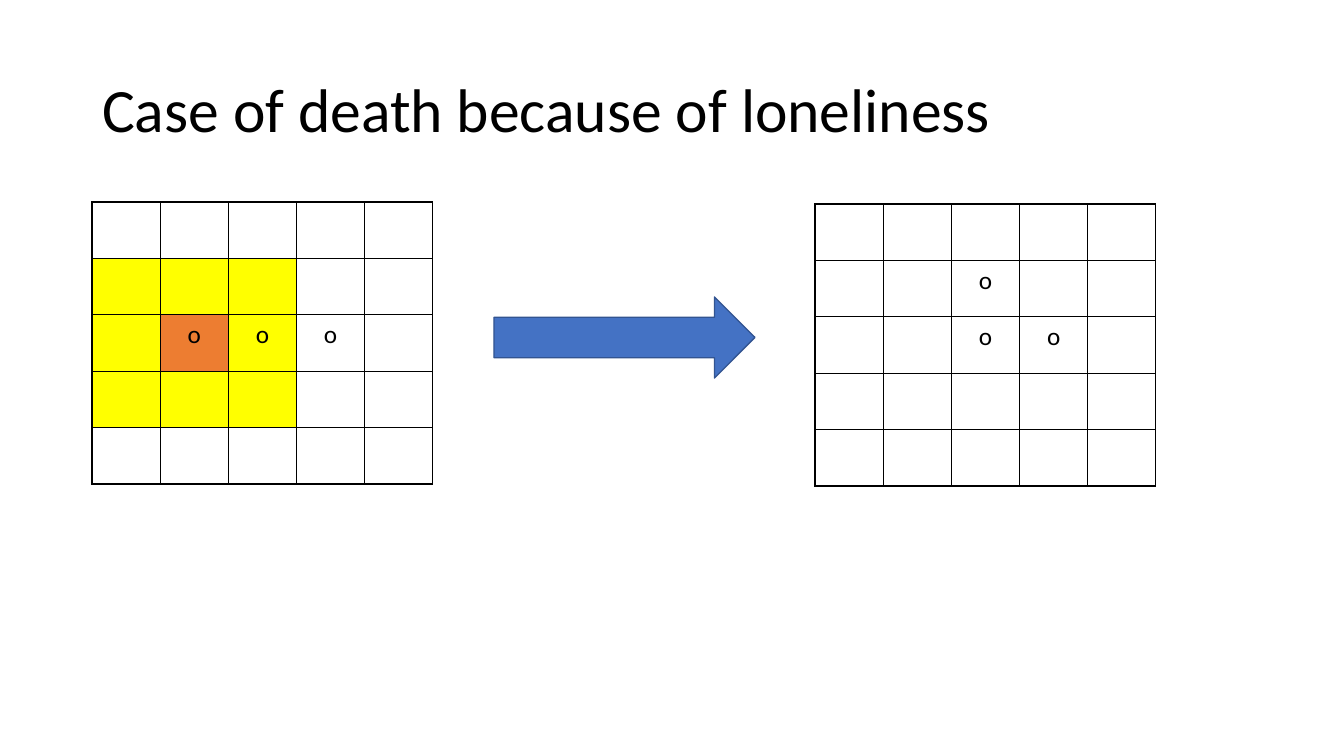
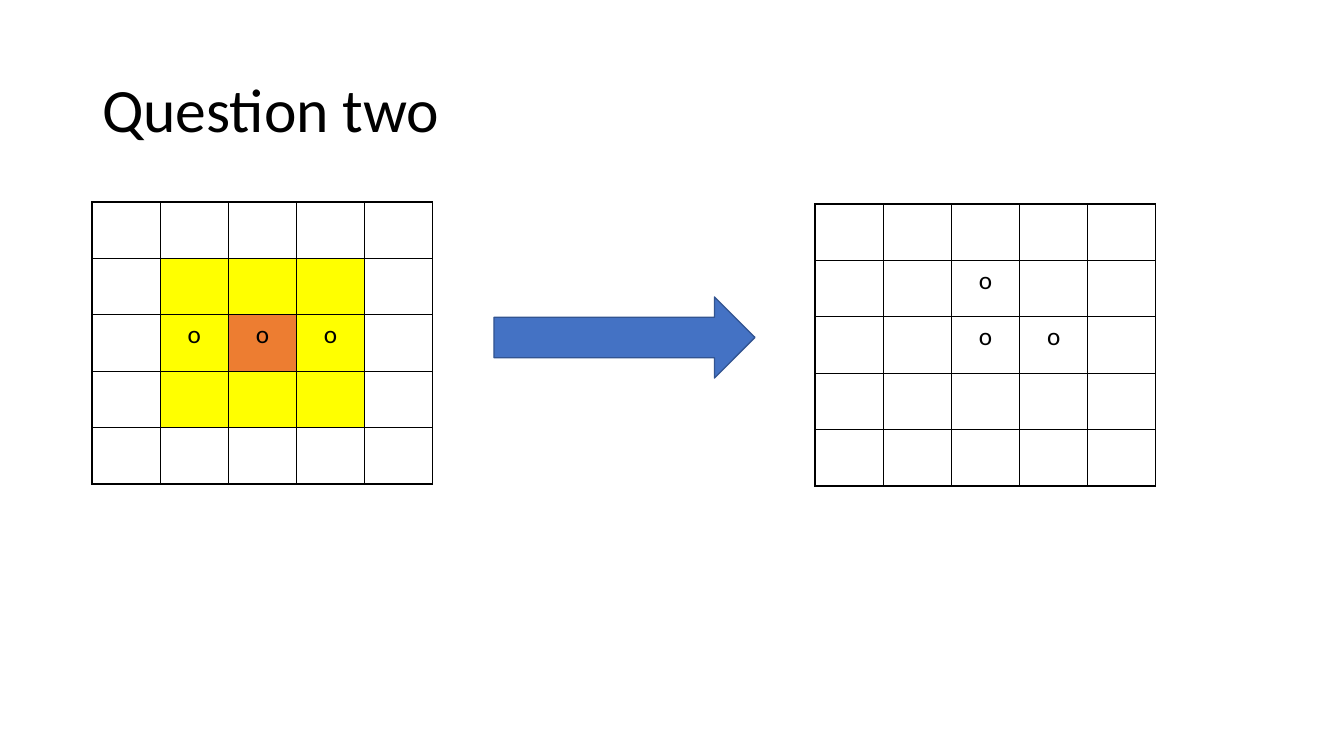
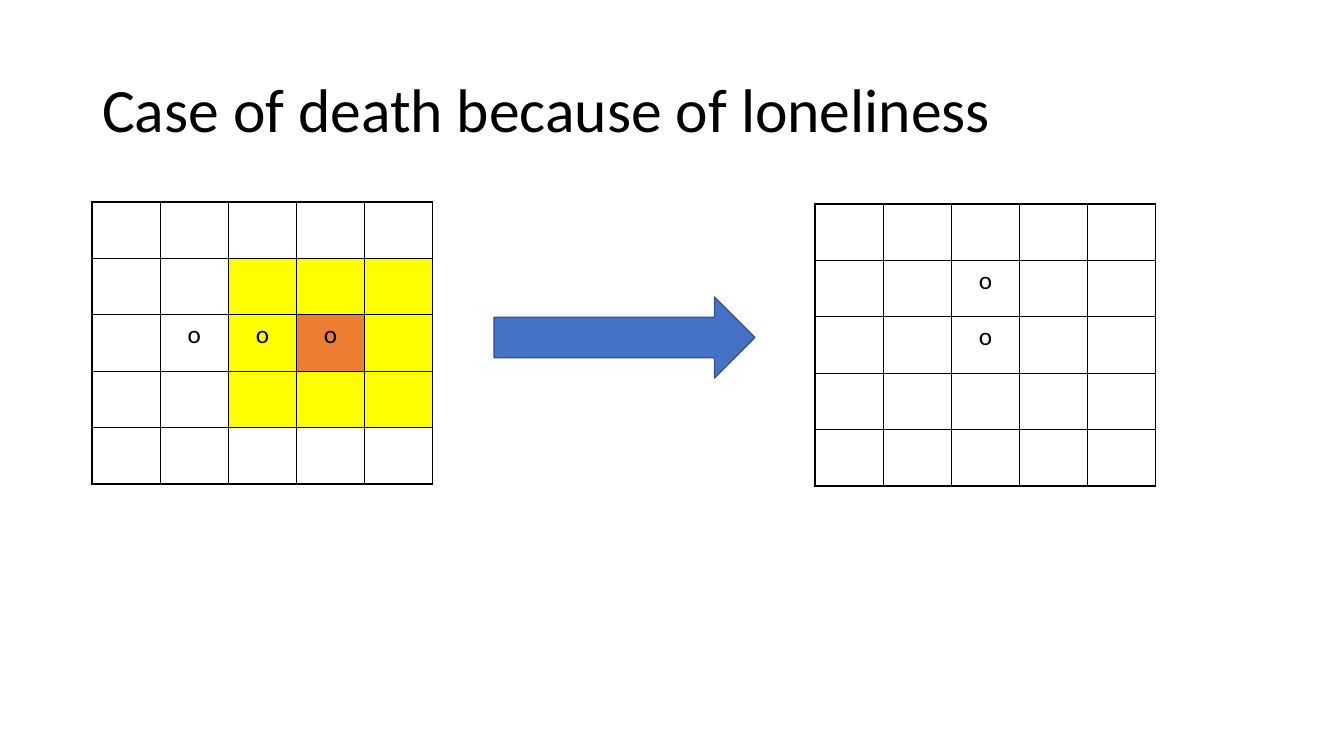
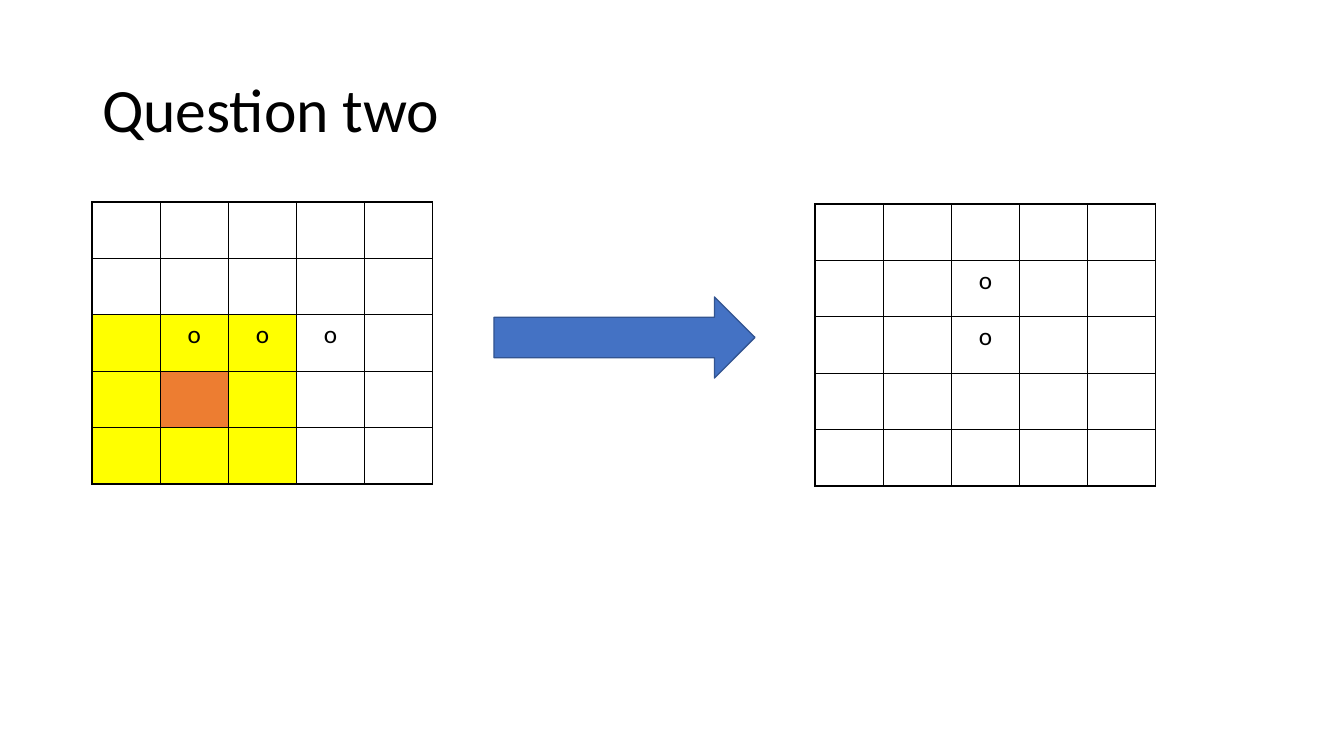
from lxml import etree
from pptx import Presentation
from pptx.dml.color import RGBColor
from pptx.enum.shapes import MSO_SHAPE
from pptx.enum.text import MSO_ANCHOR, MSO_AUTO_SIZE, PP_ALIGN
from pptx.oxml.ns import qn
from pptx.util import Emu, Pt

ARROW = MSO_SHAPE.RIGHT_ARROW
MIDDLE = MSO_ANCHOR.MIDDLE
NO_FIT = MSO_AUTO_SIZE.NONE
LEFT, CENTER = PP_ALIGN.LEFT, PP_ALIGN.CENTER

SCALE = 914400 / 100.8
FONT = "Calibri"
BLACK, WHITE = "000000", "FFFFFF"
YELLOW, ORANGE = "FFFF00", "ED7D31"
BLUE, NAVY = "4472C4", "325491"

SIZE = 5
TITLE_BOX = (92, 40, 1159, 146)
BEFORE_BOX = (92, 202, 341, 282)
AFTER_BOX = (815, 204, 341, 282)
ARROW_BOX = (494, 297, 261, 81)

# Cells are (row, column), counted from zero.
ROW = {(2, 1), (2, 2), (2, 3)}
PAIR = {(1, 2), (2, 2)}
TRIO = PAIR | {(2, 3)}

# Title, cell under study, live cells after the step
STEPS = [
    ("Case of death because of loneliness", (2, 1), TRIO),
    ("Question two", (2, 2), TRIO),
    ("Case of death because of loneliness", (2, 3), PAIR),
    ("Question two", (3, 1), PAIR),
]


def px(n):
    """Turn pixels into EMU."""
    return Emu(round(n * SCALE))


def rgb(code):
    """Turn a hex string into a colour."""
    return RGBColor.from_string(code)


def add_run(para, text, size, align):
    """Add one run of black text to a paragraph."""
    para.alignment = align
    run = para.add_run()
    run.text = text
    run.font.name = FONT
    run.font.size = Pt(size)
    run.font.color.rgb = rgb(BLACK)


def set_title(slide, box, text):
    """Place and fill the title placeholder."""
    title = slide.shapes.title
    title.left, title.top, title.width, title.height = map(px, box)
    frame = title.text_frame
    frame.word_wrap = True
    frame.auto_size = NO_FIT
    frame.vertical_anchor = MIDDLE
    para = frame.paragraphs[0]
    para.line_spacing = 0.9
    add_run(para, text, 44, LEFT)


def add_edges(cell):
    """Draw thin black lines on the four sides of a cell."""
    props = cell._tc.get_or_add_tcPr()
    for side in ("lnL", "lnR", "lnT", "lnB"):
        line = etree.SubElement(props, qn("a:" + side), w=str(Pt(1)))
        fill = etree.SubElement(line, qn("a:solidFill"))
        etree.SubElement(fill, qn("a:srgbClr"), val=BLACK)


def shade(spot, focus):
    """Pick the colour of a cell by its distance from the focus."""
    if focus is None:
        return WHITE
    gap = max(abs(a - b) for a, b in zip(spot, focus))
    return (ORANGE, YELLOW)[gap] if gap < 2 else WHITE


def add_board(slide, box, live, focus=None):
    """Add a board with its live cells and the area round the focus."""
    table = slide.shapes.add_table(SIZE, SIZE, *map(px, box)).table
    table.first_row = table.horz_banding = False
    for col in table.columns:
        col.width = px(box[2] / SIZE)
    for r, row in enumerate(table.rows):
        row.height = px(box[3] / SIZE)
        for c, cell in enumerate(row.cells):
            add_edges(cell)
            cell.fill.solid()
            cell.fill.fore_color.rgb = rgb(shade((r, c), focus))
            if (r, c) in live:
                add_run(cell.text_frame.paragraphs[0], "o", 18, CENTER)


def add_arrow(slide, box):
    """Add the block arrow between the boards."""
    arrow = slide.shapes.add_shape(ARROW, *map(px, box))
    arrow.shadow.inherit = False
    arrow.fill.solid()
    arrow.fill.fore_color.rgb = rgb(BLUE)
    arrow.line.color.rgb = rgb(NAVY)
    arrow.line.width = Pt(1)


def add_step(deck, text, focus, after):
    """Add a slide that shows one step of the game."""
    slide = deck.slides.add_slide(deck.slide_layouts[5])
    set_title(slide, TITLE_BOX, text)
    add_board(slide, BEFORE_BOX, ROW, focus)
    add_board(slide, AFTER_BOX, after)
    add_arrow(slide, ARROW_BOX)


def main():
    """Build and save the deck."""
    deck = Presentation()
    deck.slide_width, deck.slide_height = px(1344), px(756)
    for step in STEPS:
        add_step(deck, *step)
    deck.save("out.pptx")


main()
